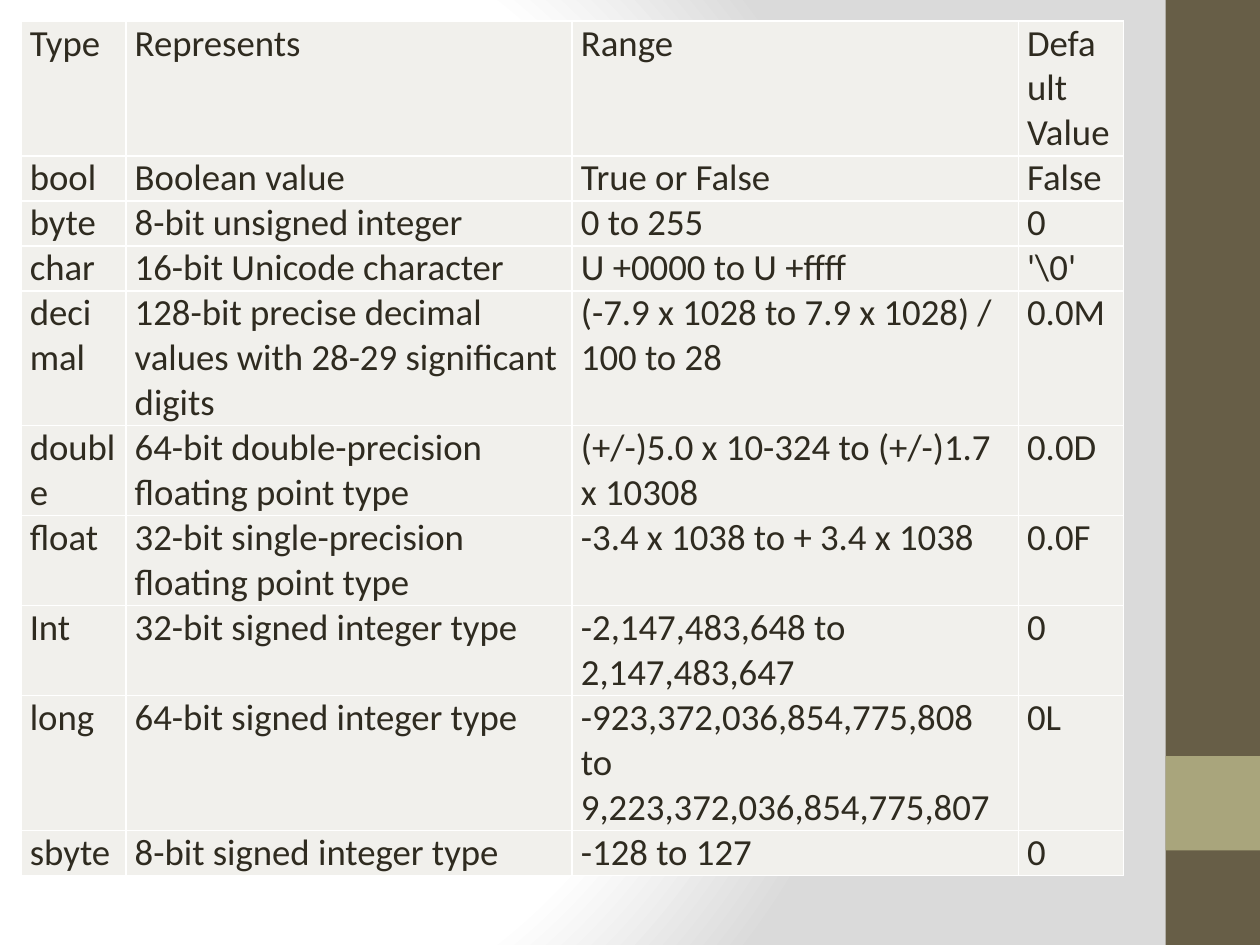
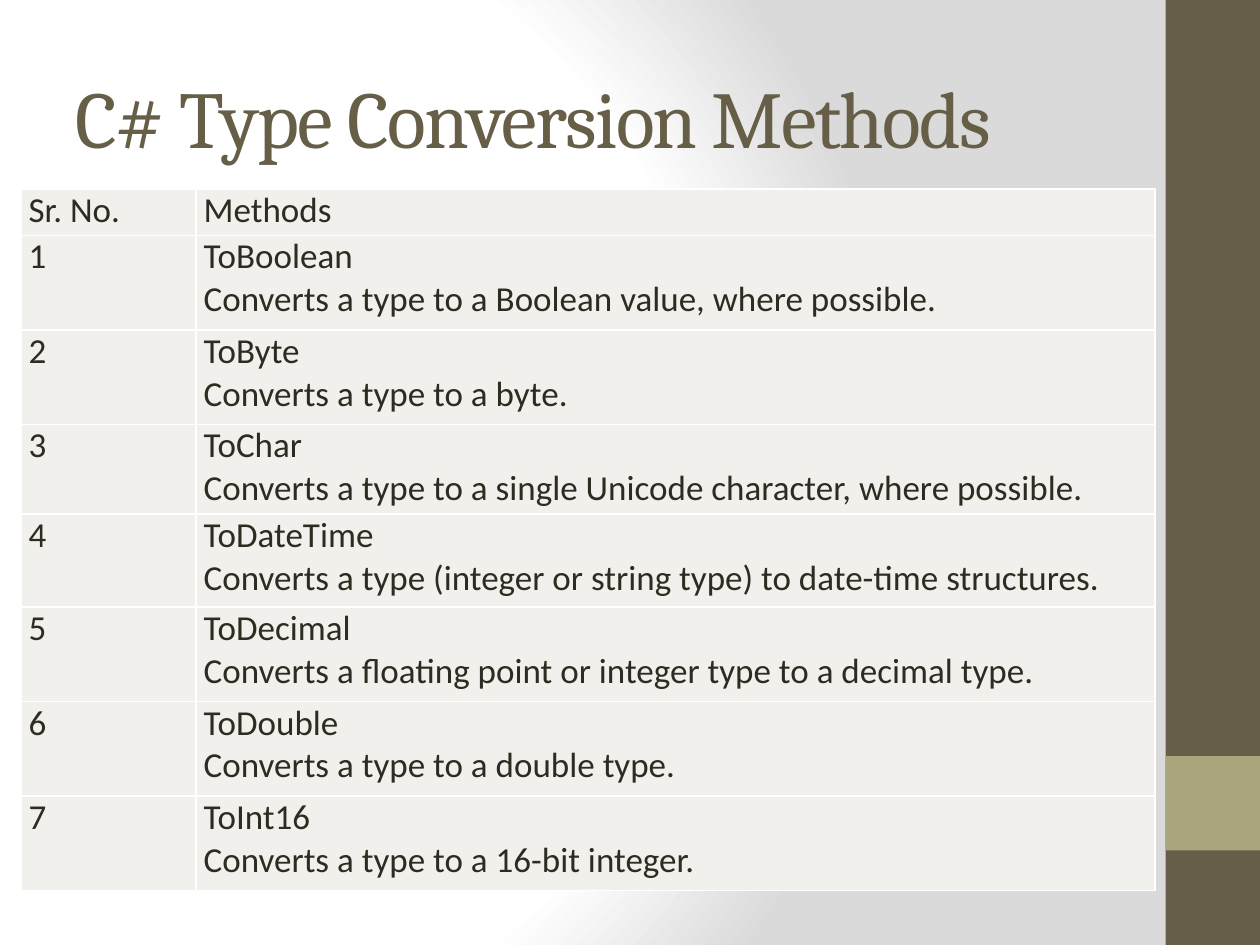
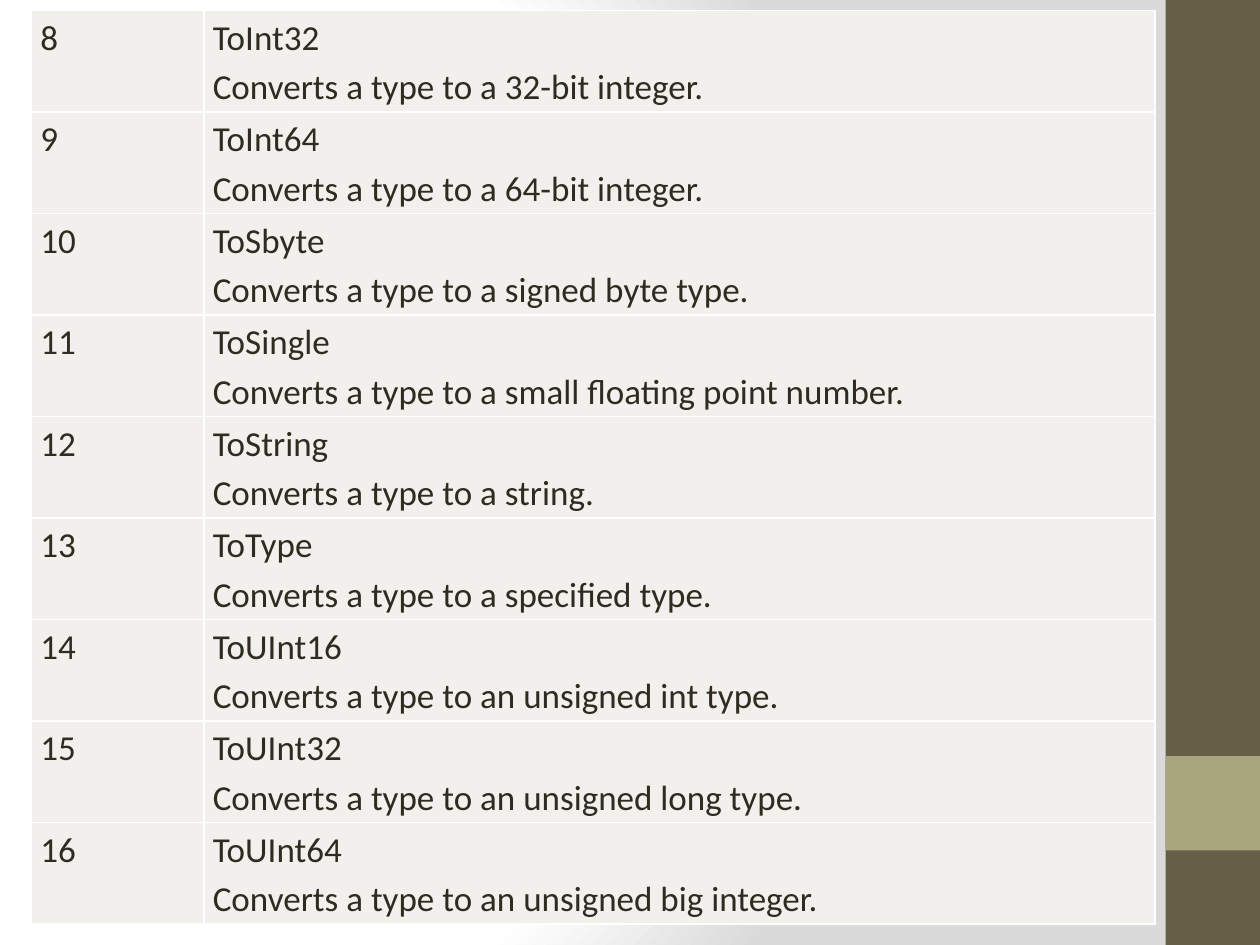
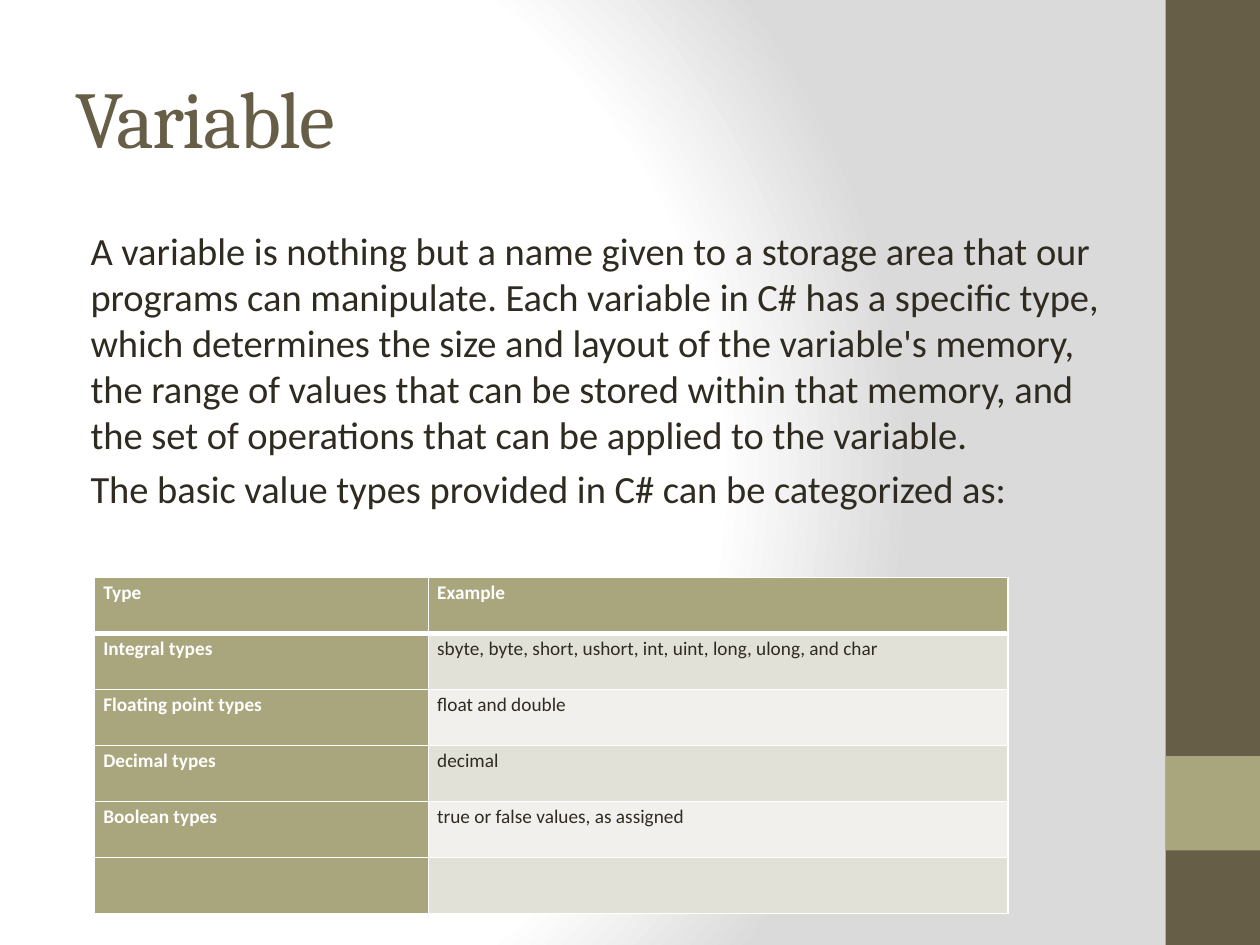
import pptx
import pptx.util
import pptx.oxml
import pptx.oxml.ns
import pptx.dml.color
import pptx.enum.shapes
import pptx.enum.text

Pt = pptx.util.Pt
RGB = pptx.dml.color.RGBColor
Anchor = pptx.enum.text.MSO_ANCHOR

# Shared look
INK = RGB(0x2F, 0x2B, 0x20)
BROWN = RGB(0x67, 0x5E, 0x47)
OLIVE = RGB(0xA9, 0xA5, 0x7C)
PALE = RGB(0xF1, 0xF0, 0xEC)
SAND = RGB(0xE2, 0xE1, 0xD7)
WHITE = RGB(0xFF, 0xFF, 0xFF)
SILVER = RGB(0xDA, 0xDA, 0xDA)
HEAD, BODY = "Cambria", "Calibri"

# Grid of 120 columns by 90 rows
deck = pptx.Presentation()
deck.slide_width = pptx.util.Inches(10)
deck.slide_height = pptx.util.Inches(7.5)
UNIT = deck.slide_width // 120
TITLE = (6, 3.6, 100, 15)


def grid(*cells):
    return [round(n * UNIT) for n in cells]


def write(frame, text, size=20, font=BODY, color=INK, bold=False, line=None,
          before=None, left=0, track=None):
    """Write each line of text as a paragraph."""
    frame.word_wrap = True
    for i, part in enumerate(text.split("\n")):
        para = frame.paragraphs[0] if i == 0 else frame.add_paragraph()
        para.line_spacing = line
        if before is not None:
            para.space_before = Pt(before)
        if left:
            para._p.get_or_add_pPr().set("marL", str(round(left * UNIT)))
        para.font.size = Pt(size)
        if not part:
            continue
        run = para.add_run()
        run.text = part
        run.font.size, run.font.name, run.font.bold = Pt(size), font, bold
        run.font.color.rgb = color
        if track is not None:
            run._r.get_or_add_rPr().set("spc", str(track * 100))


def paint(master):
    """Give the master its round gradient."""
    master.background.fill.gradient()
    old = master.element.find(".//" + pptx.oxml.ns.qn("a:gradFill"))
    stops = "".join(
        f'<a:gs pos="{pos * 1000}"><a:srgbClr val="{color}"/></a:gs>'
        for pos, color in ((0, WHITE), (75, WHITE), (100, SILVER)))
    new = pptx.oxml.parse_xml(
        f'<a:gradFill {pptx.oxml.ns.nsdecls("a")} rotWithShape="1">'
        f'<a:gsLst>{stops}</a:gsLst><a:path path="circle">'
        '<a:fillToRect l="20000" t="50000" r="100000" b="50000"/>'
        '</a:path></a:gradFill>')
    old.getparent().replace(old, new)


def band(slide, box, color):
    shape = slide.shapes.add_shape(
        pptx.enum.shapes.MSO_SHAPE.RECTANGLE, *grid(*box))
    shape.shadow.inherit = False
    shape.fill.solid()
    shape.fill.fore_color.rgb = color
    shape.line.fill.background()


def page(title=None):
    """Add a slide with the side bands and, if given, a title."""
    slide = deck.slides.add_slide(deck.slide_layouts[6])
    band(slide, (111, 0, 9, 90), BROWN)
    band(slide, (111, 72, 9, 9), OLIVE)
    if title:
        frame = slide.shapes.add_textbox(*grid(*TITLE)).text_frame
        frame.vertical_anchor = Anchor.MIDDLE
        write(frame, title, size=46, font=HEAD, color=BROWN, track=-1)
    return slide


def edge(cell, base):
    """Draw white borders; base is the width of the lower one."""
    props = cell._tc.get_or_add_tcPr()
    for i, (side, width) in enumerate(zip("LRTB", (1, 1, 1, base))):
        props.insert(i, pptx.oxml.parse_xml(
            f'<a:ln{side} {pptx.oxml.ns.nsdecls("a")} w="{Pt(width)}">'
            f'<a:solidFill><a:srgbClr val="{WHITE}"/></a:solidFill>'
            f'</a:ln{side}>'))


def table(slide, box, rows, cols, highs, size, inset=0.84, line=None,
          rich=False):
    """Fill the box; cols and highs are relative widths and heights."""
    tab = slide.shapes.add_table(len(rows), len(cols), *grid(*box)).table
    tab.first_row = tab.horz_banding = False
    for col, share in zip(tab.columns, cols):
        col.width, = grid(box[2] * share / sum(cols))
    for row, share in zip(tab.rows, highs):
        row.height, = grid(box[3] * share / sum(highs))
    for r, row in enumerate(rows):
        for c, text in enumerate(row):
            cell = tab.cell(r, c)
            key = rich and (r == 0 or c == 0)
            cell.margin_left = cell.margin_right = grid(inset)[0]
            cell.margin_top = cell.margin_bottom = 0
            cell.fill.solid()
            cell.fill.fore_color.rgb = (
                OLIVE if key else SAND if rich and r % 2 else PALE)
            edge(cell, 3 if rich and r == 0 else 1)
            write(cell.text_frame, text, size=size, line=line, bold=key,
                  color=WHITE if key else INK)


TYPES = [
    ("Type", "Represents", "Range", "Default Value"),
    ("bool", "Boolean value", "True or False", "False"),
    ("byte", "8-bit unsigned integer", "0 to 255", "0"),
    ("char", "16-bit Unicode character", "U +0000 to U +ffff", "'\\0'"),
    ("decimal",
     "128-bit precise decimal values with 28-29 significant digits",
     "(-7.9 x 1028 to 7.9 x 1028) / 100 to 28", "0.0M"),
    ("double", "64-bit double-precision floating point type",
     "(+/-)5.0 x 10-324 to (+/-)1.7 x 10308", "0.0D"),
    ("float", "32-bit single-precision floating point type",
     "-3.4 x 1038 to + 3.4 x 1038", "0.0F"),
    ("Int", "32-bit signed integer type",
     "-2,147,483,648 to 2,147,483,647", "0"),
    ("long", "64-bit signed integer type",
     "-923,372,036,854,775,808 to 9,223,372,036,854,775,807", "0L"),
    ("sbyte", "8-bit signed integer type", "-128 to 127", "0"),
]

# Method name and what follows "Converts a"
CASTS = [
    ("Boolean", "type to a Boolean value, where possible."),
    ("Byte", "type to a byte."),
    ("Char", "type to a single Unicode character, where possible."),
    ("DateTime",
     "type (integer or string type) to date-time structures."),
    ("Decimal", "floating point or integer type to a decimal type."),
    ("Double", "type to a double type."),
    ("Int16", "type to a 16-bit integer."),
    ("Int32", "type to a 32-bit integer."),
    ("Int64", "type to a 64-bit integer."),
    ("Sbyte", "type to a signed byte type."),
    ("Single", "type to a small floating point number."),
    ("String", "type to a string."),
    ("Type", "type to a specified type."),
    ("UInt16", "type to an unsigned int type."),
    ("UInt32", "type to an unsigned long type."),
    ("UInt64", "type to an unsigned big integer."),
]
STEPS = [(str(n), f"To{name}\nConverts a {what}")
         for n, (name, what) in enumerate(CASTS, 1)]

ABOUT = (
    "A variable is nothing but a name given to a storage area that our "
    "programs can manipulate. Each variable in C# has a specific type, "
    "which determines the size and layout of the variable's memory, the "
    "range of values that can be stored within that memory, and the set of "
    "operations that can be applied to the variable.\n"
    "The basic value types provided in C# can be categorized as:")
KINDS = [
    ("Type", "Example"),
    ("Integral types",
     "sbyte, byte, short, ushort, int, uint, long, ulong, and char"),
    ("Floating point types", "float and double"),
    ("Decimal types", "decimal"),
    ("Boolean types", "true or false values, as assigned"),
    ("", ""),
]

paint(deck.slide_master)

# Data types: row heights follow the lines of text
table(page(), (2, 2, 105, 79.8), TYPES, (10, 42.5, 42.5, 10),
      (3, 1, 1, 1, 3, 2, 2, 2, 3, 1), 21)

# Conversion methods, first part
table(page("C# Type Conversion Methods"), (2, 18, 108, 66.84),
      [("Sr. No.", "Methods")] + STEPS[:7], (1.39, 7.61),
      (0.37, 0.75, 0.75, 0.71, 0.74, 0.75, 0.75, 0.75), 20, inset=0.72)

# Conversion methods, second part
table(page(), (3, 1, 107, 87), STEPS[7:], (1.37, 7.55), [1] * 9, 20,
      line=1.15)

# Variables
last = page("Variable")
write(last.shapes.add_textbox(*grid(6, 21, 100, 63)).text_frame, ABOUT,
      size=22, before=4.4, left=1.44)
table(last, (9, 55, 87, 32), KINDS, (2.65, 4.6), [1] * 6, 11, line=1.15,
      rich=True)

deck.save("out.pptx")
